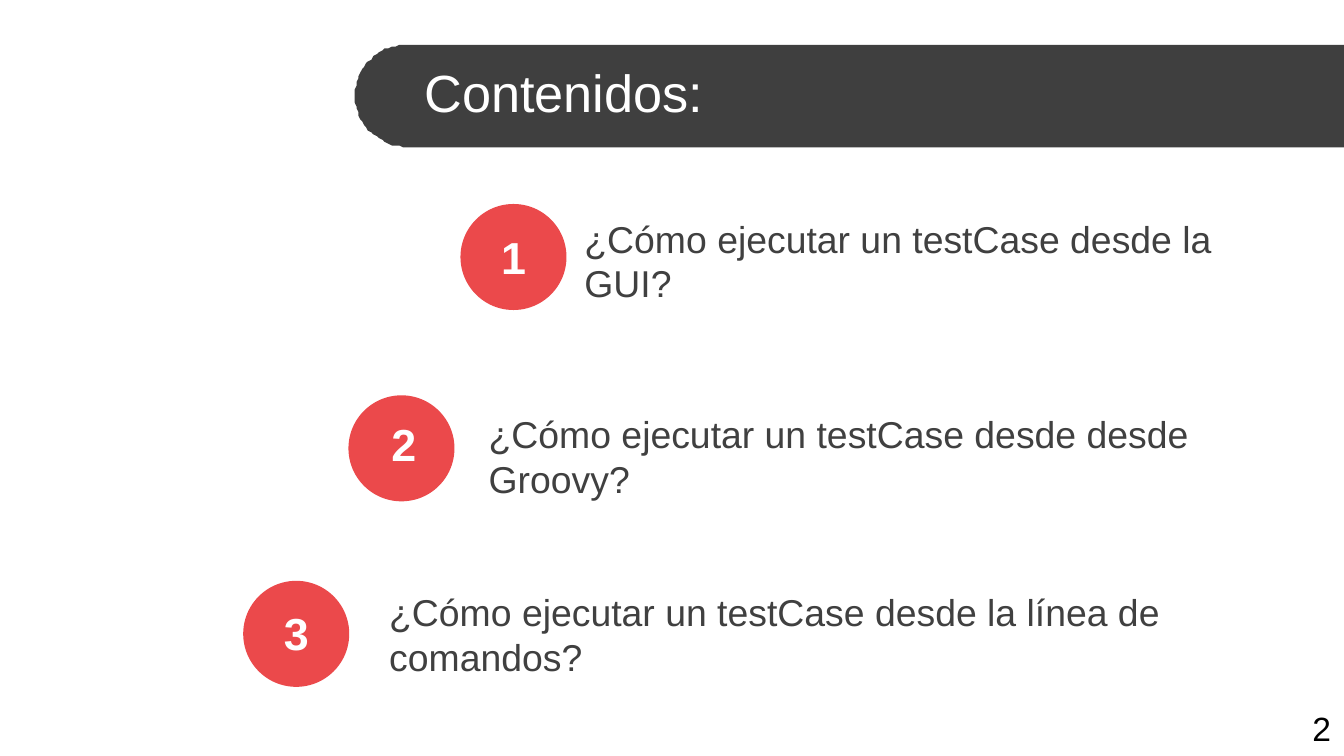
from math import cos, pi, sin

from pptx import Presentation
from pptx.dml.color import RGBColor
from pptx.enum.shapes import MSO_SHAPE as Shape
from pptx.enum.text import MSO_ANCHOR as Anchor, PP_ALIGN as Align
from pptx.util import Pt

DARK = RGBColor(0x3F, 0x3F, 0x3F)
GREY = RGBColor(0x40, 0x40, 0x40)
RED = RGBColor(0xEB, 0x49, 0x4B)
WHITE = RGBColor(0xFF, 0xFF, 0xFF)
BLACK = RGBColor(0, 0, 0)

WIDTH, HEIGHT = 720, 405
DISC = 56.8
TITLE = "Contenidos:"
PAGE = "2"
# question, disc (left, top), number (left, top), text (left, top, width, height)
TOPICS = [
    ("¿Cómo ejecutar un testCase desde la GUI?",
     (246.7, 109.3), (246.7, 119.5), (306, 123.8, 400.3, 31.7)),
    ("¿Cómo ejecutar un testCase desde desde Groovy?",
     (186.7, 211.8), (187.9, 219.6), (254.7, 216.7, 453.6, 55.4)),
    ("¿Cómo ejecutar un testCase desde la línea de comandos?",
     (130.3, 311.2), (130.3, 321.1), (201.4, 311.8, 504.7, 55.4)),
]


def paint(shape, color):
    shape.shadow.inherit = False
    shape.fill.solid()
    shape.fill.fore_color.rgb = color
    shape.line.fill.background()


def write(slide, text, place, size, color, bold=False, align=Align.LEFT,
          anchor=Anchor.MIDDLE, wrap=True):
    box = slide.shapes.add_textbox(*map(Pt, place))
    frame = box.text_frame
    frame.word_wrap = wrap
    frame.vertical_anchor = anchor
    frame.text = text
    para = frame.paragraphs[0]
    para.alignment = align
    font = para.runs[0].font
    font.name, font.size, font.bold = "Arial", Pt(size), bold
    font.color.rgb = color


def add_bar(slide, left, top, height, cap, steps=48):
    """Draw a bar that runs off the right edge, with a rounded left end."""
    half = height / 2
    turns = [pi / 2 + pi * i / steps for i in range(steps + 1)]
    curve = [(left + cap + cap * cos(a), top + half + half * sin(a))
             for a in turns]
    points = [(WIDTH, top), (WIDTH, top + height)] + curve
    pen = slide.shapes.build_freeform(*points[0], scale=Pt(1))
    pen.add_line_segments(points[1:], close=True)
    paint(pen.convert_to_shape(), DARK)


def main():
    deck = Presentation()
    deck.slide_width, deck.slide_height = Pt(WIDTH), Pt(HEIGHT)
    slide = deck.slides.add_slide(deck.slide_layouts[6])

    add_bar(slide, left=190, top=23.6, height=55.4, cap=29.5)
    write(slide, TITLE, (220.3, 26.6, 499.7, 45.4), 28, WHITE)

    for number, (text, disc, label, place) in enumerate(TOPICS, 1):
        spot = slide.shapes.add_shape(
            Shape.OVAL, *map(Pt, (*disc, DISC, DISC)))
        paint(spot, RED)
        write(slide, text, place, 20, GREY)
        write(slide, str(number), (*label, DISC, 36), 24, WHITE,
              bold=True, align=Align.CENTER)

    write(slide, PAGE, (696, 375.8, 24.5, 29), 18, BLACK,
          anchor=Anchor.TOP, wrap=False)
    deck.save("out.pptx")


if __name__ == "__main__":
    main()
